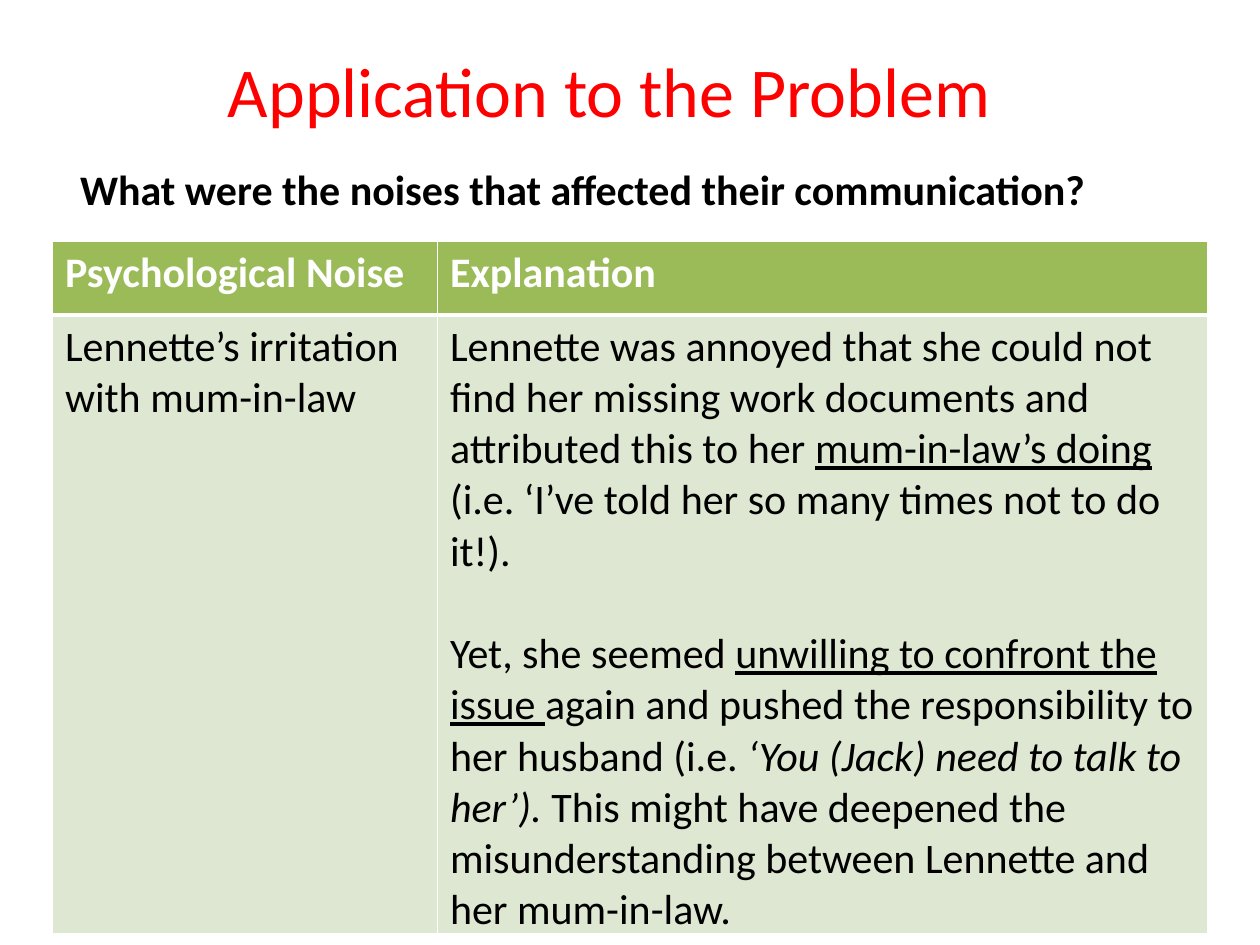
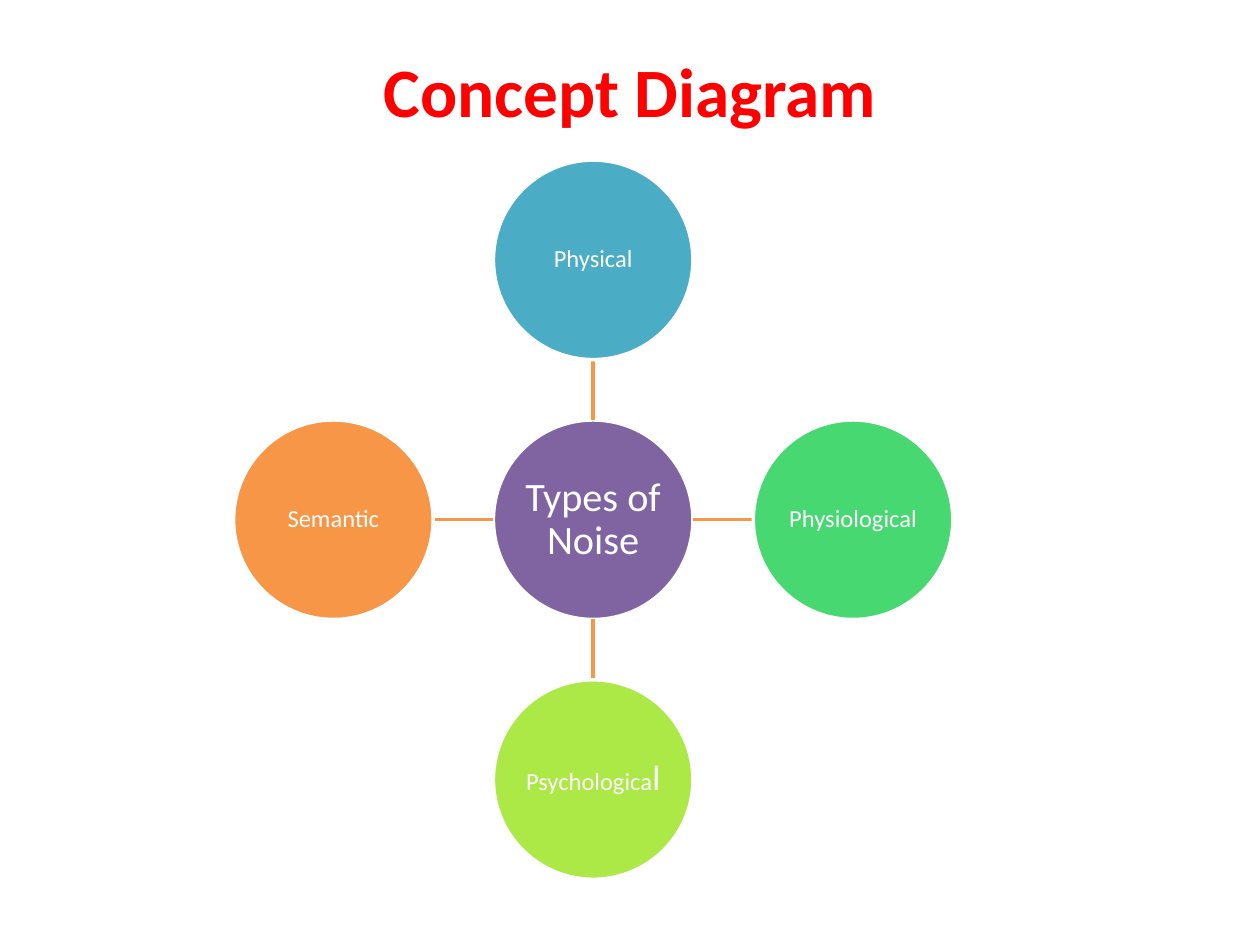
from lxml.etree import SubElement
from pptx import Presentation
from pptx.dml.color import RGBColor as RGB
from pptx.enum.shapes import MSO_CONNECTOR as CXN, MSO_SHAPE as SHAPE
from pptx.enum.text import MSO_ANCHOR as ANCHOR, PP_ALIGN as ALIGN
from pptx.oxml.ns import qn
from pptx.util import Inches, Pt

# Shared style
FONT = "Calibri"
C = {
    "title": "FF0000", "text": "000000", "white": "FFFFFF",
    "head": "9BBB59", "body": "DEE7D1",
    "hub": "8064A2", "line": "F79646", "physical": "4BACC6",
    "physiological": "47D872", "psychological": "ACE946", "semantic": "F79646",
}

# The slide is a grid of 120 columns and 90 rows
COLS, ROWS = 120, 90
CELL = Inches(10) / COLS


def grid(*cells):
    return [round(n * CELL) for n in cells]


def add_run(p, text, size, color, bold=False, italic=False, underline=False):
    r = p.add_run()
    r.text = text
    f = r.font
    f.name, f.size, f.color.rgb = FONT, Pt(size), RGB.from_string(C[color])
    f.bold, f.italic, f.underline = bold, italic, underline


def add_text(s, box, text, size, color, bold=False, align=ALIGN.LEFT, anchor=ANCHOR.TOP):
    tf = s.shapes.add_textbox(*grid(*box)).text_frame
    tf.word_wrap, tf.vertical_anchor = True, anchor
    p = tf.paragraphs[0]
    p.alignment = align
    add_run(p, text, size, color, bold)
    return p


def add_title(s, box, text, size, bold=False):
    add_text(s, box, text, size, "title", bold, ALIGN.CENTER, ANCHOR.MIDDLE)


# Table of noises
def style_cell(cell, fill, top, bottom):
    tc_pr = cell._tc.get_or_add_tcPr()
    for side, width in (("L", 1), ("R", 1), ("T", top), ("B", bottom)):
        ln = SubElement(tc_pr, qn(f"a:ln{side}"), w=str(Pt(width)))
        solid = SubElement(ln, qn("a:solidFill"))
        SubElement(solid, qn("a:srgbClr"), val=C["white"])
    cell.fill.solid()
    cell.fill.fore_color.rgb = RGB.from_string(C[fill])


def add_noise_table(s, box, heads, entries, row_heights):
    x, y, w, _ = box
    frame = s.shapes.add_table(len(row_heights), len(heads), *grid(x, y, w, sum(row_heights)))
    table = frame.table
    for col, share in zip(table.columns, (1 / 3, 2 / 3)):
        col.width = grid(w * share)[0]
    for row, height in zip(table.rows, row_heights):
        row.height = grid(height)[0]
    for i, head in enumerate(heads):
        cell = table.cell(0, i)
        style_cell(cell, "head", 1, 3)
        add_run(cell.text_frame.paragraphs[0], head, 24, "white", bold=True)
    for i, paragraphs in enumerate(entries):
        cell = table.cell(1, i)
        style_cell(cell, "body", 3, 1)
        tf = cell.text_frame
        for n, runs in enumerate(paragraphs):
            p = tf.add_paragraph() if n else tf.paragraphs[0]
            if n:
                p.space_before = Pt(29.3)
            for text, style in runs:
                add_run(p, text, 24, "text", **style)


# Hub with four spokes
def add_circle(s, cx, cy, size, fill, runs, inset):
    sp = s.shapes.add_shape(SHAPE.OVAL, *grid(cx - size / 2, cy - size / 2, size, size))
    sp.shadow.inherit = False
    sp.fill.solid()
    sp.fill.fore_color.rgb = RGB.from_string(C[fill])
    sp.line.color.rgb, sp.line.width = RGB.from_string(C["white"]), Pt(2)
    tf = sp.text_frame
    tf.word_wrap, tf.vertical_anchor = True, ANCHOR.MIDDLE
    tf.margin_left = tf.margin_right = tf.margin_top = tf.margin_bottom = Inches(inset)
    p = tf.paragraphs[0]
    p.alignment, p.line_spacing = ALIGN.CENTER, 0.9
    for text, points in runs:
        add_run(p, text, points, "white")


def add_spoke_line(s, *ends):
    line = s.shapes.add_connector(CXN.STRAIGHT, *grid(*ends))
    line.line.color.rgb, line.line.width = RGB.from_string(C["line"]), Pt(2)
    SubElement(line._element.spPr, qn("a:effectLst"))


def add_hub_diagram(s, box, hub, spokes):
    x, y, w, h = box
    cx, cy = x + w / 2, y + h / 2
    size = w * 19 / 68.5
    step = (w - size) / 2
    near, far = size / 2, step - size / 2
    add_circle(s, cx, cy, size, "hub", [(hub, 23)], 0.02)
    for dx, dy, fill, runs in spokes:
        add_spoke_line(s, cx + dx * near, cy + dy * near, cx + dx * far, cy + dy * far)
        add_circle(s, cx + dx * step, cy + dy * step, size, fill, runs, 0.01)


# Slides
def application_slide(s):
    add_title(s, (8, 1, 100, 15), "Application to the Problem", 40)
    p = add_text(s, (5, 15, 112, 6), "What were the noises that affected their communication?",
                 24, "text", bold=True)
    p._p.get_or_add_pPr().set("marL", str(Inches(0.12)))
    under, italic = {"underline": True}, {"italic": True}
    cause = [[("Lennette’s irritation with mum-in-law", {})]]
    explanation = [
        [("Lennette was annoyed that she could not find her missing work documents "
          "and attributed this to her ", {}),
         ("mum-in-law’s doing ", under),
         ("(i.e. ‘I’ve told her so many times not to do it!).", {})],
        [("Yet, she seemed ", {}),
         ("unwilling to confront the issue ", under),
         ("again and pushed the responsibility to her husband (i.e. ", {}),
         ("‘You (Jack) need to talk to her’). ", italic),
         ("This might have deepened the misunderstanding between Lennette "
          "and her mum-in-law.", {})],
    ]
    add_noise_table(s, (5, 23, 110, 65.8), ["Psychological Noise", "Explanation"],
                    [cause, explanation], [7, 58.8])


def concept_slide(s):
    add_title(s, (4, 4.3, 112, 8.5), "Concept Diagram", 39.6, bold=True)
    add_hub_diagram(s, (22.25, 15.25, 68.5, 68.5), "Types of Noise", [
        (0, -1, "physical", [("Physical", 14)]),
        (1, 0, "physiological", [("Physiological", 14)]),
        (0, 1, "psychological", [("Psychologica", 14), ("l", 20)]),
        (-1, 0, "semantic", [("Semantic", 14)]),
    ])


def main():
    prs = Presentation()
    prs.slide_width, prs.slide_height = grid(COLS, ROWS)
    for build in (application_slide, concept_slide):
        build(prs.slides.add_slide(prs.slide_layouts[6]))
    prs.save("out.pptx")


if __name__ == "__main__":
    main()
